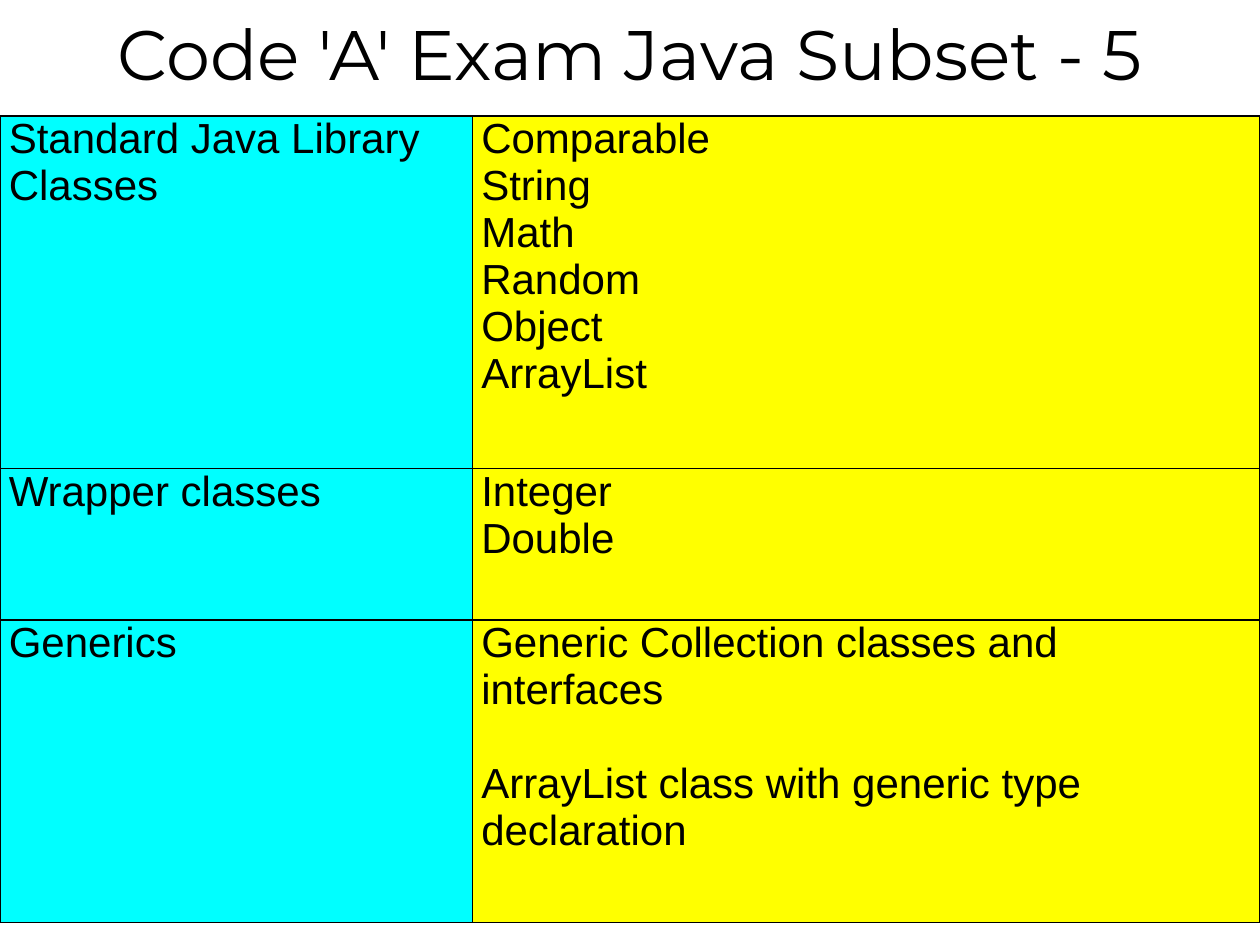
"""Build the Code 'A' Exam Java Subset slide with its table of topics."""
from dataclasses import dataclass

from lxml.etree import SubElement
from pptx import Presentation
from pptx.dml.color import RGBColor
from pptx.enum.text import MSO_ANCHOR, PP_ALIGN
from pptx.oxml.ns import qn
from pptx.table import _Cell
from pptx.text.text import _Paragraph
from pptx.util import Pt

PX = 9144
COLORS = {"text": "000000", "border": "000000", "topic": "00FFFF", "detail": "FFFF00"}
COL_WIDTHS = (375, 625)
PARAGRAPH_GAP = 26.8


@dataclass
class TopicRow:
    topic: str
    details: list[str]
    height: int
    gap: float = 0


ROWS = [
    TopicRow("Standard Java Library Classes",
             ["Comparable", "String", "Math", "Random", "Object", "ArrayList"], 280),
    TopicRow("Wrapper classes", ["Integer", "Double"], 120),
    TopicRow("Generics",
             ["Generic Collection classes and interfaces",
              "ArrayList class with generic type declaration"], 240, PARAGRAPH_GAP),
]


def px(n: int) -> int:
    return n * PX


def rgb(name: str) -> RGBColor:
    return RGBColor.from_string(COLORS[name])


def style_runs(p: _Paragraph, font: str, size: int) -> None:
    for r in p.runs:
        r.font.name = font
        r.font.size = Pt(size)
        r.font.bold = False
        r.font.color.rgb = rgb("text")


def add_borders(cell: _Cell) -> None:
    tc_pr = cell._tc.get_or_add_tcPr()
    for i, side in enumerate(("a:lnL", "a:lnR", "a:lnT", "a:lnB")):
        ln = tc_pr.makeelement(qn(side), {"w": str(Pt(1))})
        fill = SubElement(ln, qn("a:solidFill"))
        SubElement(fill, qn("a:srgbClr"), val=COLORS["border"])
        tc_pr.insert(i, ln)


def fill_cell(cell: _Cell, lines: list[str], color: str, gap: float) -> None:
    cell.fill.solid()
    cell.fill.fore_color.rgb = rgb(color)
    cell.margin_left = cell.margin_right = px(7)
    cell.margin_top = cell.margin_bottom = 0
    cell.vertical_anchor = MSO_ANCHOR.TOP
    tf = cell.text_frame
    tf.text = "\n".join(lines)
    for i, p in enumerate(tf.paragraphs):
        if i and gap:
            p.space_before = Pt(gap)
        style_runs(p, "Arial", 24)
    add_borders(cell)


def main() -> None:
    prs = Presentation()
    prs.slide_width, prs.slide_height = px(1000), px(750)
    s = prs.slides.add_slide(prs.slide_layouts[5])

    title = s.shapes.title
    title.left, title.top, title.width, title.height = 0, 0, px(1000), px(83)
    tf = title.text_frame
    tf.text = "Code 'A' Exam Java Subset - 5"
    tf.vertical_anchor = MSO_ANCHOR.MIDDLE
    p = tf.paragraphs[0]
    p.alignment = PP_ALIGN.CENTER
    style_runs(p, "Montserrat", 40)

    height = sum(row.height for row in ROWS)
    table = s.shapes.add_table(len(ROWS), len(COL_WIDTHS), 0, px(92),
                               px(sum(COL_WIDTHS)), px(height)).table
    table.first_row = table.horz_banding = False
    for column, width in zip(table.columns, COL_WIDTHS):
        column.width = px(width)
    for i, row in enumerate(ROWS):
        table.rows[i].height = px(row.height)
        fill_cell(table.cell(i, 0), [row.topic], "topic", 0)
        fill_cell(table.cell(i, 1), row.details, "detail", row.gap)

    prs.save("out.pptx")


if __name__ == "__main__":
    main()
